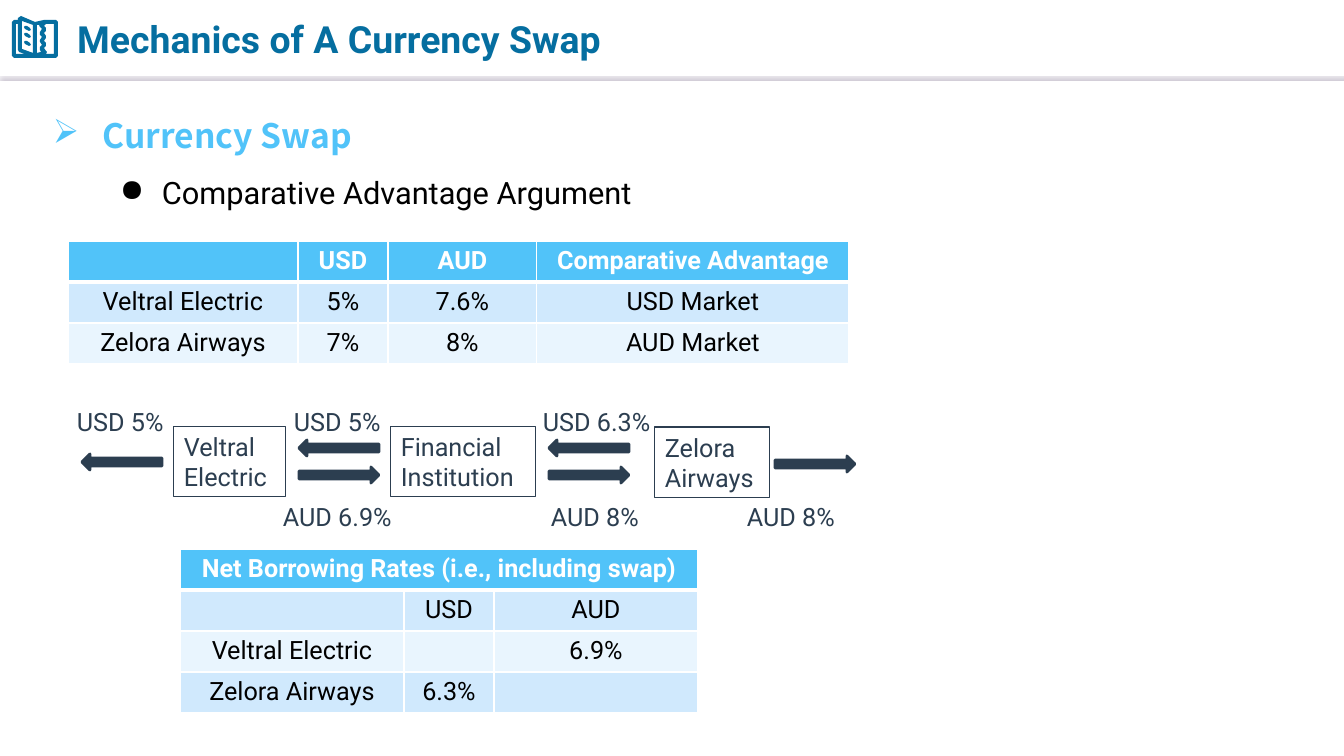
from lxml import etree
from pptx import Presentation
from pptx.dml.color import RGBColor
from pptx.enum.shapes import MSO_CONNECTOR, MSO_SHAPE
from pptx.enum.text import MSO_ANCHOR, PP_ALIGN
from pptx.oxml.ns import qn
from pptx.util import Emu, Pt

LEFT, CENTER, JUSTIFY = PP_ALIGN.LEFT, PP_ALIGN.CENTER, PP_ALIGN.JUSTIFY
MIDDLE = MSO_ANCHOR.MIDDLE
ARROWS = {"left": MSO_SHAPE.LEFT_ARROW, "right": MSO_SHAPE.RIGHT_ARROW}
WHITE, BLACK = RGBColor(255, 255, 255), RGBColor(0, 0, 0)
BLUE, SKY = RGBColor(0x05, 0x6E, 0xA0), RGBColor(0x51, 0xC3, 0xF9)
SLATE = RGBColor(0x2C, 0x3E, 0x50)
BANDS = RGBColor(0xD0, 0xE9, 0xFD), RGBColor(0xE9, 0xF5, 0xFE)
ROBOTO, NOTO = "Roboto", "Noto Sans CJK SC"
SCALE = 914400 / 100.8  # EMU per px

# Content
TITLE = "Mechanics of A Currency Swap"
# text, bullet, left margin, hanging, size, font, colour, bold
OUTLINE = [
    ("Currency Swap", "➢", 50, 50, 24, NOTO, SKY, True),
    ("Comparative Advantage Argument", "●", 109, 42, 22, ROBOTO, BLACK, False),
]
# left, top, column widths, rows
TABLES = [
    (68, 241, [230, 90, 149, 312], [
        ["", "USD", "AUD", "Comparative Advantage"],
        ["Veltral Electric", "5%", "7.6%", "USD Market"],
        ["Zelora Airways", "7%", "8%", "AUD Market"]]),
    (180, 549, [224, 90, 204], [
        ["Net Borrowing Rates (i.e., including swap)"],
        ["", "USD", "AUD"],
        ["Veltral Electric", "", "6.9%"],
        ["Zelora Airways", "6.3%", ""]]),
]
ROW_H = 41
# lines, left, top, width
PARTIES = [
    (["Veltral", "Electric"], 174, 426, 112),
    (["Financial", "Institution"], 391, 426, 145),
    (["Zelora", "Airways"], 655, 427, 115),
]
PARTY_H = 71
# direction, left, top
FLOWS = [("left", 82, 454), ("left", 299, 440), ("right", 299, 467),
         ("left", 549, 440), ("right", 549, 467), ("right", 775, 456)]
FLOW_W, FLOW_H = 80, 16
# text, left, top, width
RATES = [("USD 5%", 67, 401, 111), ("USD 5%", 284, 401, 111),
         ("USD 6.3%", 533, 401, 130), ("AUD 6.9%", 273, 496, 133),
         ("AUD 8%", 541, 496, 113), ("AUD 8%", 737, 496, 113)]
RATE_H = 40
# Book icon: cover, page openings, then one text line repeated upwards
BOOK = [
    [(21, 16), (35, 22), (44, 20), (56, 20), (58, 22), (58, 56), (56, 58),
     (14, 58), (12, 56), (12, 22), (14, 20), (18, 20), (18, 18)],
    [(22, 21), (22, 49), (33, 53), (33, 25)],
    [(16, 24), (16, 54), (25, 54), (19, 52), (18, 50), (18, 24)],
    [(39, 25), (37, 25), (37, 53), (41, 52), (40, 50), (40, 47), (42, 45),
     (40, 42), (40, 40), (42, 37), (40, 35), (40, 32), (42, 29), (40, 27)],
    [(46, 24), (44, 26), (46, 28), (46, 31), (44, 33), (46, 36), (46, 38),
     (44, 41), (46, 43), (46, 46), (44, 48), (46, 51), (47, 52), (46, 54),
     (54, 54), (54, 24)],
]
BOOK_LINE = [(25, 41), (27, 41), (30, 43), (31, 45), (29, 46), (25, 44), (24, 42)]
BOOK += [[(x, y - up) for x, y in BOOK_LINE] for up in (0, 8, 15)]


def px(*values):
    return [Emu(round(v * SCALE)) for v in values]


def add_run(p, text, size, color, bold=False, font=ROBOTO, align=LEFT):
    p.alignment = align
    r = p.add_run()
    r.text = text
    r.font.size, r.font.bold, r.font.name = Pt(size), bold, font
    r.font.color.rgb = color


def add_xml(parent, tag, **attrs):
    return etree.SubElement(parent, qn(tag), attrs)


def set_borders(cell, bottom):
    tcPr = cell._tc.get_or_add_tcPr()
    for i, (side, width) in enumerate(zip("LRTB", (1, 1, 1, bottom))):
        ln = etree.Element(qn("a:ln" + side), w=str(Pt(width)))
        add_xml(add_xml(ln, "a:solidFill"), "a:srgbClr", val=str(WHITE))
        tcPr.insert(i, ln)


def add_rates_table(s, left, top, widths, rows):
    tbl = s.shapes.add_table(len(rows), len(widths),
                             *px(left, top, sum(widths), ROW_H * len(rows))).table
    for col, width in zip(tbl.columns, px(*widths)):
        col.width = width
    for i, row in enumerate(rows):
        tbl.rows[i].height = px(ROW_H)[0]
        for j in range(len(widths)):
            cell = tbl.cell(i, j)
            cell.fill.solid()
            cell.fill.fore_color.rgb = BANDS[(i - 1) % 2] if i else SKY
            set_borders(cell, 1 if i else 3)
            if j < len(row) and row[j]:
                add_run(cell.text_frame.paragraphs[0], row[j], 18,
                        BLACK if i else WHITE, bold=not i, align=CENTER)
        if len(row) == 1:
            tbl.cell(i, 0).merge(tbl.cell(i, len(widths) - 1))


prs = Presentation()
prs.slide_width, prs.slide_height = px(1344, 756)
s = prs.slides.add_slide(prs.slide_layouts[5])

# Header rule with its shadow
rule = s.shapes.add_connector(MSO_CONNECTOR.STRAIGHT, *px(0, 74, 1344, 74))
rule.line.color.rgb, rule.line.width = WHITE, Pt(0.75)
effects = add_xml(rule._element.spPr, "a:effectLst")
shadow = add_xml(effects, "a:outerShdw", blurRad=str(Pt(1)), dist=str(Pt(3)),
                 dir="5400000", algn="t", rotWithShape="0")
add_xml(shadow, "a:srgbClr", val="BCB4C4")

# Book icon
fb = s.shapes.build_freeform(*BOOK[0][0], scale=SCALE)
fb.add_line_segments(BOOK[0][1:])
for outline in BOOK[1:]:
    fb.move_to(*outline[0])
    fb.add_line_segments(outline[1:])
book = fb.convert_to_shape()
book.shadow.inherit = False
book.fill.solid()
book.fill.fore_color.rgb = BLUE
book.line.fill.background()

# Title
title = s.shapes.title
title.left, title.top, title.width, title.height = px(67, 7, 742, 64)
title.text_frame.vertical_anchor = MIDDLE
add_run(title.text_frame.paragraphs[0], TITLE, 26.7, BLUE, bold=True)

# Outline
tf = s.shapes.add_textbox(*px(43, 90, 1257, 140)).text_frame
tf.word_wrap = True
for i, (text, bullet, margin, hang, size, font, color, bold) in enumerate(OUTLINE):
    p = tf.add_paragraph() if i else tf.paragraphs[0]
    p.line_spacing = 1.5
    pPr = p._p.get_or_add_pPr()
    margin, hang = px(margin, hang)
    pPr.set("marL", str(margin))
    pPr.set("indent", str(-hang))
    add_xml(pPr, "a:buChar", char=bullet)
    add_run(p, text, size, color, bold, font)

# Tables
for table in TABLES:
    add_rates_table(s, *table)

# Swap parties
for lines, left, top, width in PARTIES:
    sp = s.shapes.add_shape(MSO_SHAPE.RECTANGLE, *px(left, top, width, PARTY_H))
    sp.shadow.inherit = False
    sp.fill.background()
    sp.line.color.rgb, sp.line.width = SLATE, Pt(0.75)
    tf = sp.text_frame
    tf.vertical_anchor = MIDDLE
    for i, line in enumerate(lines):
        p = tf.add_paragraph() if i else tf.paragraphs[0]
        add_run(p, line, 18, SLATE, align=JUSTIFY)

# Payment arrows
for direction, left, top in FLOWS:
    sp = s.shapes.add_shape(ARROWS[direction], *px(left, top, FLOW_W, FLOW_H))
    sp.shadow.inherit = False
    sp.fill.solid()
    sp.fill.fore_color.rgb = SLATE
    sp.line.color.rgb, sp.line.width = SLATE, Pt(2)

# Payment rates
for text, left, top, width in RATES:
    tf = s.shapes.add_textbox(*px(left, top, width, RATE_H)).text_frame
    tf.word_wrap = False
    add_run(tf.paragraphs[0], text, 18, SLATE)

prs.save("out.pptx")
